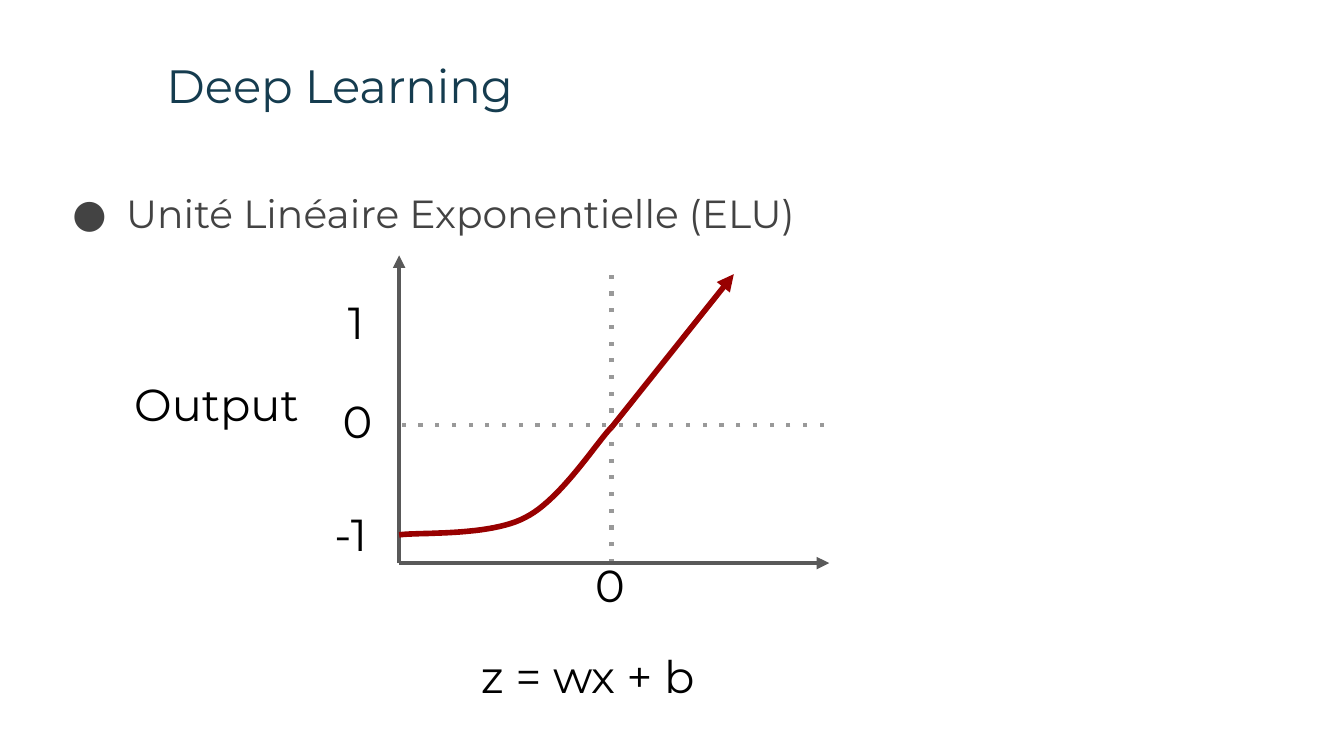
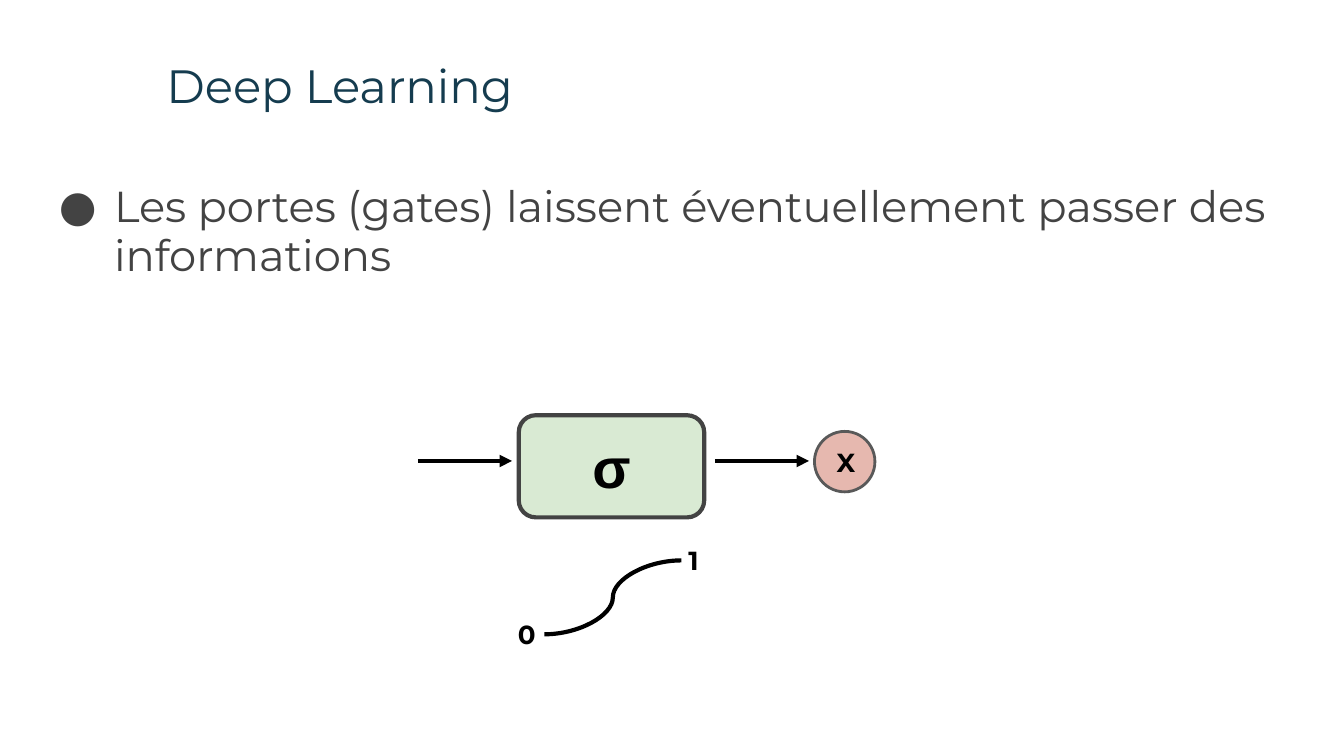
from lxml import etree
from pptx import Presentation
from pptx.dml.color import RGBColor
from pptx.enum.shapes import MSO_CONNECTOR as Connector, MSO_SHAPE as Shape
from pptx.enum.text import MSO_ANCHOR as Anchor, PP_ALIGN as Align
from pptx.oxml.ns import qn
from pptx.util import Inches, Pt

FONT = "Montserrat"
BLACK, TITLE_BLUE, TEXT_GRAY = "000000", "153C4F", "434343"
AXIS_GRAY, GRID_GRAY, CURVE_RED = "595959", "999999", "980000"
GATE_GREEN, PRODUCT_PINK = "D9EAD3", "E6B8AF"

TITLE = "Deep Learning"
ELU_BULLET = "Unité Linéaire Exponentielle (ELU)"
GATE_BULLET = "Les portes (gates) laissent éventuellement passer des informations"

# ELU plot: axes, centre of the grid, and labels as (text, left, top, width)
AXIS_LEFT, AXIS_BOTTOM = 2.97, 4.19
ZERO_X, ZERO_Y = 4.55, 3.16
CURVE_END = (ZERO_X, 3.18)
PLOT_LABELS = [
    ("z = wx + b", 3.48, 4.73, 2.42),
    ("Output", 0.9, 2.7, 1.62),
    ("0", 2.45, 2.83, 1.62),
    ("1", 2.49, 2.09, 1.62),
    ("0", 4.33, 4.05, 0.54),
    ("-1", 2.39, 3.67, 1.62),
]
CURVE_START = (AXIS_LEFT, 3.98)
CURVE_BEZIERS = [
    ((3.13, 3.96), (3.65, 3.99), (3.91, 3.85)),
    ((4.17, 3.72), (4.44, 3.29), CURVE_END),
]
BEZIER_STEPS = 24

# Gate diagram
FLOW_Y, ARROW_LENGTH = 3.43, 0.7
ARROW_STARTS = [3.11, 5.32]
SIGMOID_LABELS = [("0", 3.63, 4.5, 0.58), ("1", 4.87, 3.95, 0.58)]


def color(hex_string):
    return RGBColor.from_string(hex_string)


def write(shape, text, size, text_color=BLACK, font=FONT, bold=False, align=Align.LEFT):
    """Put one paragraph in the shape and return it."""
    frame = shape.text_frame
    frame.word_wrap = True
    frame.margin_left = frame.margin_right = Inches(0.1)
    frame.margin_top = frame.margin_bottom = Inches(0.1)
    frame.text = text
    paragraph = frame.paragraphs[0]
    paragraph.alignment = align
    run_font = paragraph.runs[0].font
    run_font.name, run_font.size, run_font.bold = font, Pt(size), bold
    run_font.color.rgb = color(text_color)
    return paragraph


def add_text(slide, box, text, size, **style):
    text_box = slide.shapes.add_textbox(*map(Inches, box))
    return write(text_box, text, size, **style)


def add_bullet(slide, box, text, size, hanging, line_spacing):
    paragraph = add_text(slide, box, text, size, text_color=TEXT_GRAY)
    paragraph.line_spacing = line_spacing
    properties = paragraph._p.get_or_add_pPr()
    properties.set("marL", str(Inches(0.5)))
    properties.set("indent", str(-Inches(hanging)))
    bullet_color = etree.SubElement(properties, qn("a:buClr"))
    etree.SubElement(bullet_color, qn("a:srgbClr"), val=TEXT_GRAY)
    etree.SubElement(properties, qn("a:buFont"), typeface=FONT)
    etree.SubElement(properties, qn("a:buChar"), char="●")


def add_line(slide, start, end, line_color, width=2.25, arrow=False, dotted=False,
             kind=Connector.STRAIGHT):
    connector = slide.shapes.add_connector(kind, *map(Inches, (*start, *end)))
    line = connector.line
    line.color.rgb = color(line_color)
    line.width = Pt(width)
    outline = line._get_or_add_ln()
    if dotted:
        etree.SubElement(outline, qn("a:prstDash"), val="dot")
    if arrow:
        etree.SubElement(outline, qn("a:tailEnd"), type="triangle")
    etree.SubElement(connector._element.spPr, qn("a:effectLst"))


def add_node(slide, kind, box, fill, line_color, width):
    node = slide.shapes.add_shape(kind, *map(Inches, box))
    node.shadow.inherit = False
    node.fill.solid()
    node.fill.fore_color.rgb = color(fill)
    node.line.color.rgb = color(line_color)
    node.line.width = Pt(width)
    node.text_frame.vertical_anchor = Anchor.MIDDLE
    return node


def bezier_points(start, beziers):
    """Sample a chain of cubic curves, leaving out the start point."""
    points = []
    for first, second, end in beziers:
        for step in range(1, BEZIER_STEPS + 1):
            t = step / BEZIER_STEPS
            weights = ((1 - t) ** 3, 3 * t * (1 - t) ** 2, 3 * t * t * (1 - t), t ** 3)
            controls = (start, first, second, end)
            points.append(tuple(
                Inches(sum(w * point[axis] for w, point in zip(weights, controls)))
                for axis in (0, 1)))
        start = end
    return points


def add_elu_curve(slide):
    builder = slide.shapes.build_freeform(*map(Inches, CURVE_START))
    builder.add_line_segments(bezier_points(CURVE_START, CURVE_BEZIERS), close=False)
    curve = builder.convert_to_shape()
    curve.shadow.inherit = False
    curve.fill.background()
    curve.line.color.rgb = color(CURVE_RED)
    curve.line.width = Pt(3)


def add_titled_slide(presentation):
    slide = presentation.slides.add_slide(presentation.slide_layouts[6])
    add_text(slide, (1.14, 0.32, 8.52, 0.63), TITLE, 25, text_color=TITLE_BLUE)
    return slide


def build_elu_slide(presentation):
    slide = add_titled_slide(presentation)
    add_bullet(slide, (0.34, 1.26, 9.52, 0.56), ELU_BULLET, 21, 0.4, 1.15)
    origin = (AXIS_LEFT, AXIS_BOTTOM)
    add_line(slide, (ZERO_X, AXIS_BOTTOM), (ZERO_X, 1.97), GRID_GRAY, dotted=True)
    add_line(slide, (6.13, ZERO_Y), (AXIS_LEFT, ZERO_Y), GRID_GRAY, dotted=True)
    add_line(slide, origin, (AXIS_LEFT, 1.9), AXIS_GRAY, arrow=True)
    add_line(slide, origin, (6.17, AXIS_BOTTOM), AXIS_GRAY, arrow=True)
    for text, left, top, width in PLOT_LABELS:
        add_text(slide, (left, top, width, 0.55), text, 24)
    add_elu_curve(slide)
    add_line(slide, CURVE_END, (5.46, 2.04), CURVE_RED, width=3, arrow=True)


def build_gate_slide(presentation):
    slide = add_titled_slide(presentation)
    add_bullet(slide, (0.25, 1.26, 9.75, 0.94), GATE_BULLET, 23.2, 0.41, 0.95)
    gate = add_node(slide, Shape.ROUNDED_RECTANGLE, (3.86, 3.09, 1.38, 0.76),
                    GATE_GREEN, TEXT_GRAY, 2.25)
    write(gate, "σ", 30, font="Arial", bold=True, align=Align.CENTER)
    for start in ARROW_STARTS:
        add_line(slide, (start, FLOW_Y), (start + ARROW_LENGTH, FLOW_Y), BLACK, arrow=True)
    add_line(slide, (4.05, 4.72), (5.07, 4.17), BLACK, kind=Connector.CURVE)
    for text, left, top, width in SIGMOID_LABELS:
        add_text(slide, (left, top, width, 0.37), text, 14, bold=True, align=Align.CENTER)
    product = add_node(slide, Shape.OVAL, (6.06, 3.21, 0.45, 0.45),
                       PRODUCT_PINK, AXIS_GRAY, 1.5)
    write(product, "X", 14, bold=True)


def main():
    presentation = Presentation()
    presentation.slide_width = Inches(10)
    presentation.slide_height = presentation.slide_width * 9 // 16
    build_elu_slide(presentation)
    build_gate_slide(presentation)
    presentation.save("out.pptx")


if __name__ == "__main__":
    main()
